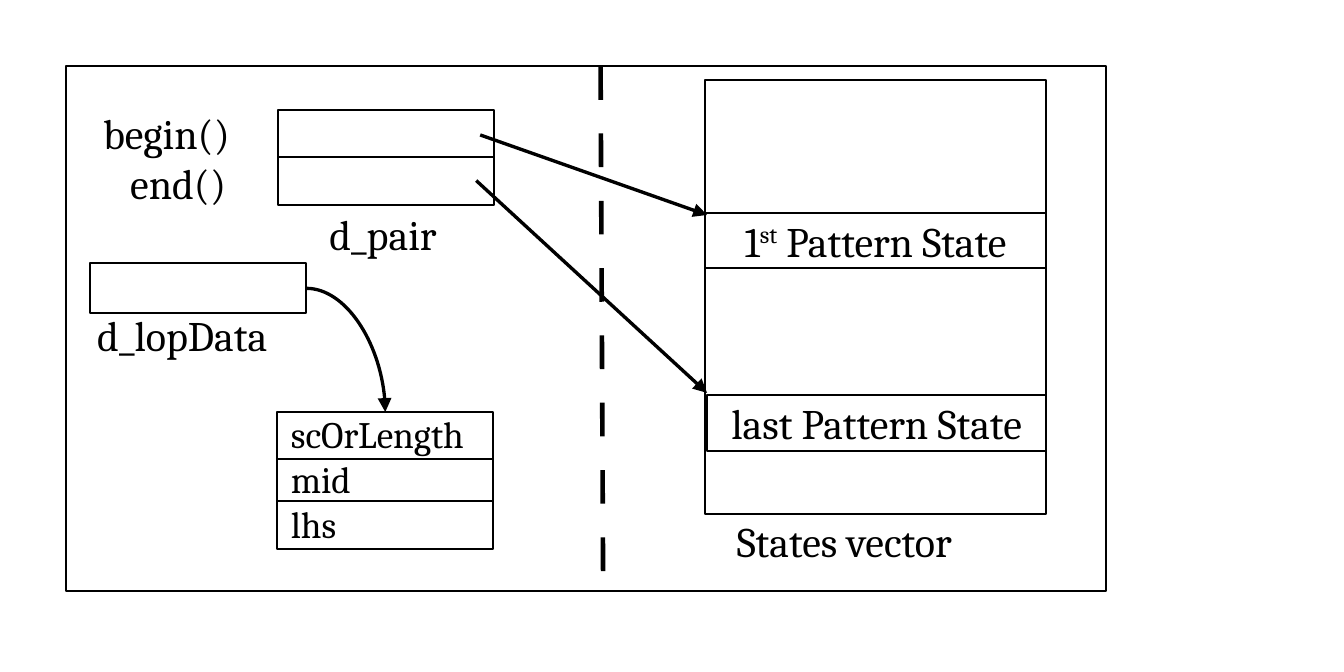
import pptx
import pptx.util
import pptx.dml.color
import pptx.enum.shapes
import pptx.enum.text
import pptx.oxml.ns
from lxml import etree

Cm = pptx.util.Cm
Pt = pptx.util.Pt
qn = pptx.oxml.ns.qn
CONNECTOR = pptx.enum.shapes.MSO_CONNECTOR
BLACK = "000000"


def color(hex_string):
    return pptx.dml.color.RGBColor.from_string(hex_string)


def add_line(kind, ends, width, arrow=False):
    c = s.shapes.add_connector(kind, *[Cm(v) for v in ends])
    c.line.color.rgb = color(BLACK)
    c.line.width = Pt(width)
    etree.SubElement(c._element.spPr, qn("a:effectLst"))
    if arrow:
        etree.SubElement(c.line._get_or_add_ln(), qn("a:tailEnd"), type="triangle")
    return c


prs = pptx.Presentation()
prs.slide_width, prs.slide_height = Cm(20.32), Cm(10.16)
s = prs.slides.add_slide(prs.slide_layouts[6])

boxes = {}
for name, left, top, width, height, runs in [
    ("frame", 1, 1, 15.72, 7.93, []),
    ("pair", 4.2, 1.66, 3.27, 1.44, []),
    ("lop data", 1.36, 3.98, 3.27, 0.76, []),
    ("lop fields", 4.19, 6.23, 3.27, 2.07, []),
    ("states vector", 10.66, 1.21, 5.16, 6.56, []),
    ("first state", 10.66, 3.22, 5.16, 0.84, ["1", "st", " Pattern State"]),
    ("last state", 10.69, 5.97, 5.13, 0.85, ["last Pattern State"]),
]:
    sp = s.shapes.add_shape(pptx.enum.shapes.MSO_SHAPE.RECTANGLE,
                            Cm(left), Cm(top), Cm(width), Cm(height))
    sp.shadow.inherit = False
    sp.fill.background()
    sp.line.color.rgb = color(BLACK)
    sp.line.width = Pt(0.85)
    boxes[name] = sp
    if runs:
        tf = sp.text_frame
        tf.word_wrap = False
        tf.vertical_anchor = pptx.enum.text.MSO_ANCHOR.MIDDLE
        p = tf.paragraphs[0]
        p.alignment = pptx.enum.text.PP_ALIGN.CENTER
    for text in runs:
        r = p.add_run()
        r.text = text
        r.font.name = "Cambria"
        r.font.size = Pt(18)
        r.font.color.rgb = color(BLACK)
        if text == "st":
            r.font._element.set("baseline", "33000")

for left, top, width, height, size, wrap, lines in [
    (1.31, 1.5, 2.62, 1.98, 18, False, ["begin()", "end()"]),
    (4.73, 3.03, 2.44, 1.12, 18, False, ["d_pair"]),
    (1.22, 4.55, 3.53, 1.12, 18, False, ["d_lopData"]),
    (4.15, 6.1, 3.58, 2.54, 16, True, ["scOrLength", "mid", "lhs"]),
    (10.89, 7.67, 4.34, 1.12, 18, False, ["States vector"]),
]:
    tf = s.shapes.add_textbox(Cm(left), Cm(top), Cm(width), Cm(height)).text_frame
    tf.word_wrap = wrap
    tf.auto_size = pptx.enum.text.MSO_AUTO_SIZE.SHAPE_TO_FIT_TEXT
    tf.text = "\n".join(lines)
    for p in tf.paragraphs:
        if p.text == "end()":
            p._p.get_or_add_pPr().set("marL", str(Cm(0.41)))
        for r in p.runs:
            r.font.name = "Cambria"
            r.font.size = Pt(size)
            r.font.color.rgb = color(BLACK)

pair_divider = add_line(CONNECTOR.STRAIGHT, (4.2, 2.38, 7.47, 2.38), 0.85)
pair_divider.begin_connect(boxes["pair"], 1)
pair_divider.end_connect(boxes["pair"], 3)

for y in (6.94, 7.58):
    add_line(CONNECTOR.STRAIGHT, (4.17, y, 7.46, y), 0.85)

for ends in [(7.26, 2.04, 10.69, 3.25), (7.2, 2.73, 10.69, 5.94)]:
    add_line(CONNECTOR.STRAIGHT, ends, 1.45, arrow=True)

lop_arrow = add_line(CONNECTOR.CURVE, (4.63, 4.36, 5.83, 6.23), 1.42, arrow=True)
lop_arrow._element.spPr.find(qn("a:prstGeom")).set("prst", "curvedConnector2")
lop_arrow.begin_connect(boxes["lop data"], 3)
lop_arrow.end_connect(boxes["lop fields"], 0)

separator = add_line(CONNECTOR.STRAIGHT, (9.08, 1, 9.12, 8.86), 1.98)
dash = etree.SubElement(separator.line._get_or_add_ln(), qn("a:custDash"))
etree.SubElement(dash, qn("a:ds"), d="727000", sp="727000")

prs.save("out.pptx")
